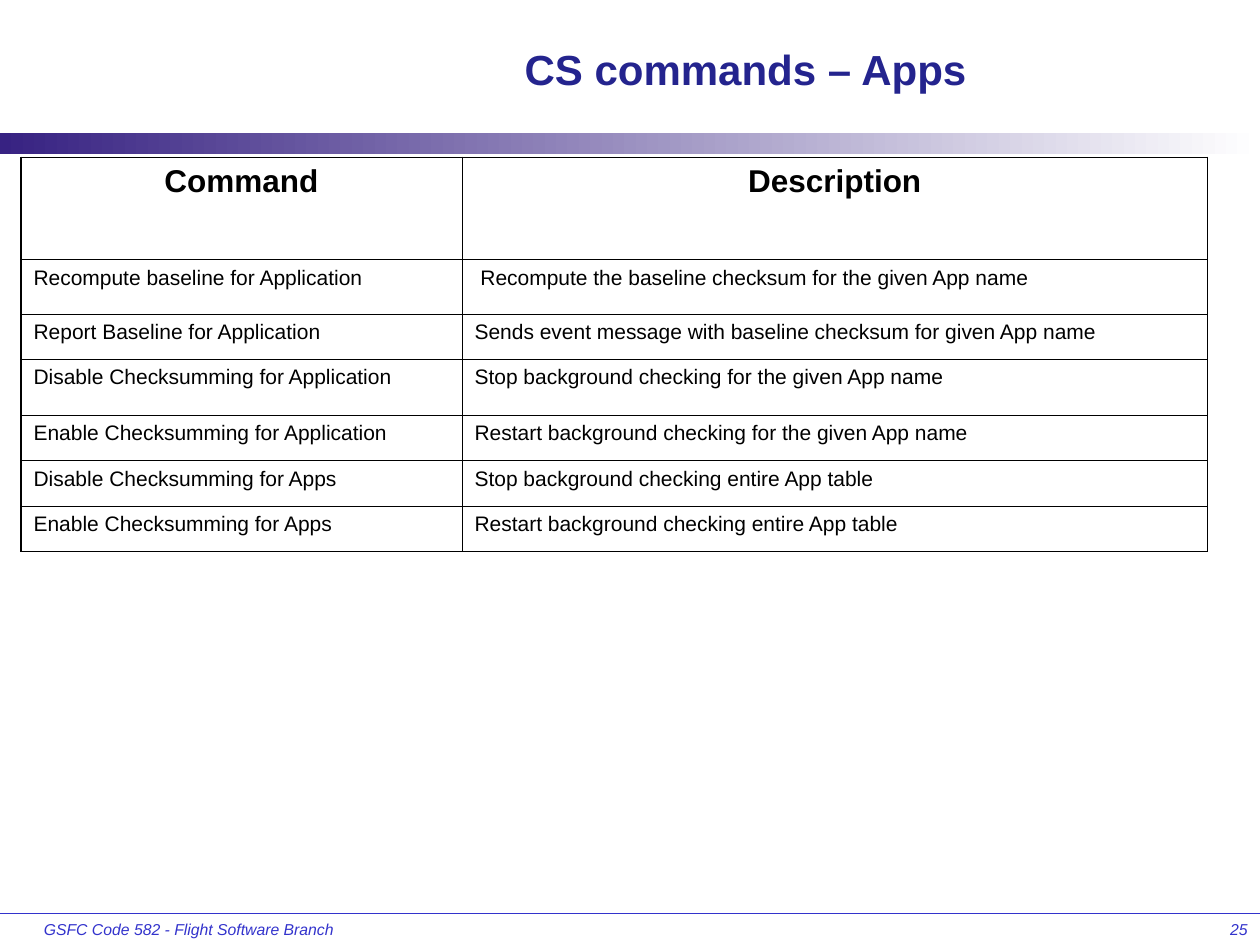
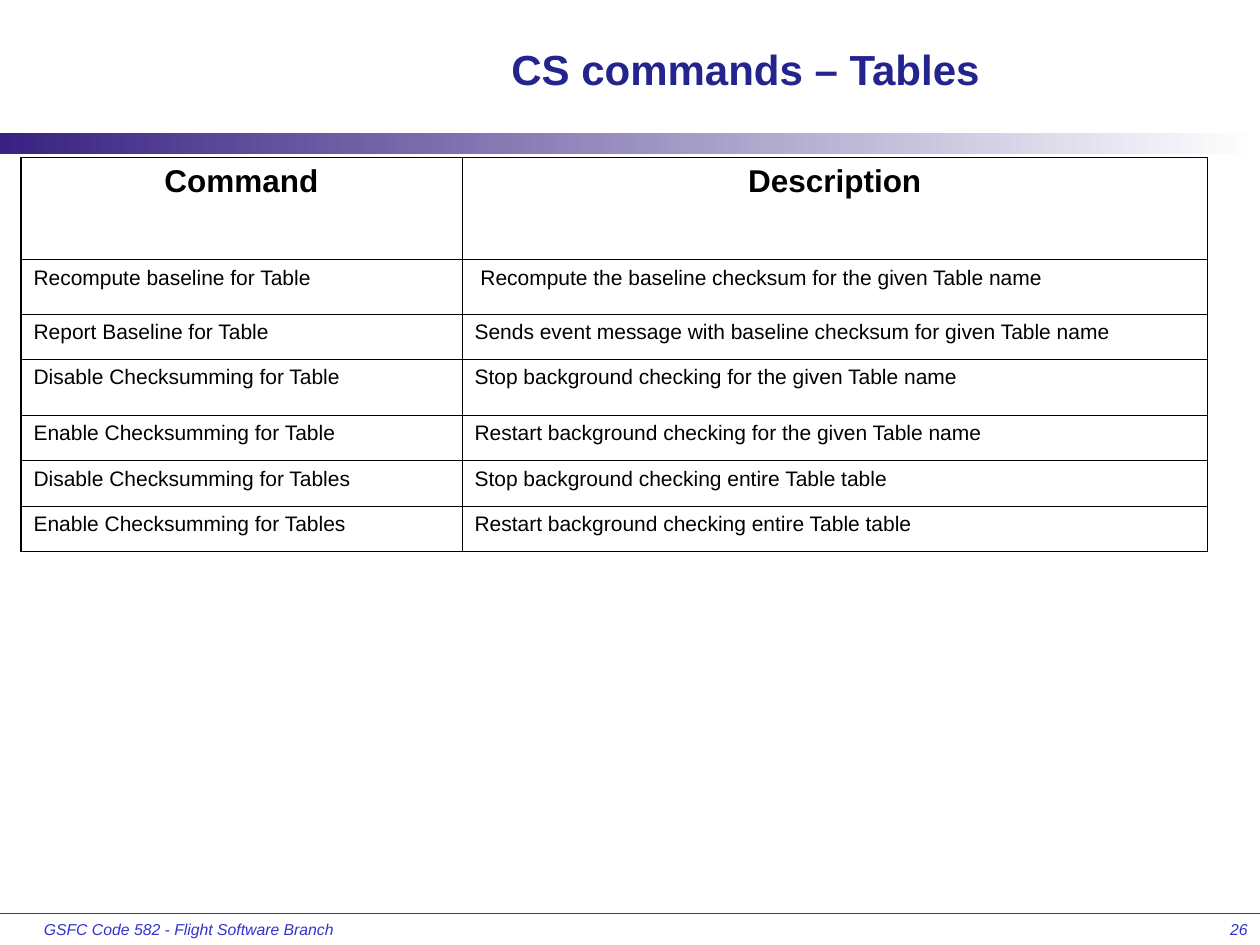
from dataclasses import dataclass

from lxml.etree import SubElement
from pptx import Presentation
from pptx.dml.color import RGBColor
from pptx.enum.shapes import MSO_CONNECTOR, MSO_SHAPE
from pptx.enum.text import MSO_ANCHOR, PP_ALIGN
from pptx.oxml.ns import qn
from pptx.slide import Slide
from pptx.table import _Cell
from pptx.text.text import TextFrame
from pptx.util import Inches, Length, Pt

WIDTH, HEIGHT = Inches(10), Inches(7.5)
COLUMNS, ROWS = 120, 90

FONT = "Arial"
TITLE_BLUE, FOOTER_BLUE = "24248E", "3333CC"
BAND_START, BAND_END = "372282", "FFFFFF"
BLACK = "000000"

FOOTER_ROW = 87
THICK, THIN = 1.08, 0.45
COMMAND_COLUMNS = (42, 71)
COMMAND_ROWS = (9.75, 5.15, 4.33, 5.33, 4.33, 4.33, 4.33)


@dataclass(frozen=True)
class Area:
    column: float
    row: float
    columns: float
    rows: float

    def place(self) -> tuple[Length, Length, Length, Length]:
        return across(self.column), down(self.row), across(self.columns), down(self.rows)


@dataclass(frozen=True)
class Style:
    size: float
    color: str
    bold: bool = False
    italic: bool = False
    align: PP_ALIGN = PP_ALIGN.LEFT


@dataclass(frozen=True)
class Label:
    area: Area
    style: Style
    anchor: MSO_ANCHOR = MSO_ANCHOR.TOP
    wrap: bool = True


@dataclass(frozen=True)
class Subject:
    number: int
    full: str
    short: str
    plural: str

    def commands(self) -> list[tuple[str, str]]:
        return [
            ("Command", "Description"),
            (f"Recompute baseline for {self.full}",
             f" Recompute the baseline checksum for the given {self.short} name"),
            (f"Report Baseline for {self.full}",
             f"Sends event message with baseline checksum for given {self.short} name"),
            (f"Disable Checksumming for {self.full}",
             f"Stop background checking for the given {self.short} name"),
            (f"Enable Checksumming for {self.full}",
             f"Restart background checking for the given {self.short} name"),
            (f"Disable Checksumming for {self.plural}",
             f"Stop background checking entire {self.short} table"),
            (f"Enable Checksumming for {self.plural}",
             f"Restart background checking entire {self.short} table"),
        ]


HEADING = Style(18, BLACK, bold=True, align=PP_ALIGN.CENTER)
BODY = Style(12, BLACK)

TITLE = Label(Area(25, 2, 92, 9.12),
              Style(24, TITLE_BLUE, bold=True, align=PP_ALIGN.CENTER), MSO_ANCHOR.MIDDLE)
BRANCH = Label(Area(3, FOOTER_ROW, 30, 3), Style(9, FOOTER_BLUE, italic=True), wrap=False)
PAGE = Label(Area(95, FOOTER_ROW, 25, 3),
             Style(9, FOOTER_BLUE, italic=True, align=PP_ALIGN.RIGHT))
BAND = Area(0, 12.7, COLUMNS, 2)
COMMANDS = Area(2, 15, sum(COMMAND_COLUMNS), sum(COMMAND_ROWS))

SUBJECTS = (
    Subject(25, "Application", "App", "Apps"),
    Subject(26, "Table", "Table", "Tables"),
)


def across(columns: float) -> Length:
    return Length(round(WIDTH * columns / COLUMNS))


def down(rows: float) -> Length:
    return Length(round(HEIGHT * rows / ROWS))


def rgb(color: str) -> RGBColor:
    return RGBColor.from_string(color)


def write(frame: TextFrame, text: str, style: Style) -> None:
    frame.text = text
    paragraph = frame.paragraphs[0]
    paragraph.alignment = style.align
    for run in paragraph.runs:
        run.font.name = FONT
        run.font.size = Pt(style.size)
        run.font.bold = style.bold
        run.font.italic = style.italic
        run.font.color.rgb = rgb(style.color)


def draw_label(slide: Slide, label: Label, text: str) -> None:
    frame = slide.shapes.add_textbox(*label.area.place()).text_frame
    frame.word_wrap = label.wrap
    frame.vertical_anchor = label.anchor
    write(frame, text, label.style)


def draw_band(slide: Slide) -> None:
    band = slide.shapes.add_shape(MSO_SHAPE.RECTANGLE, *BAND.place())
    band.shadow.inherit = False
    band.line.fill.background()
    band.fill.gradient()
    band.fill.gradient_angle = 0
    for stop, color, position in zip(band.fill.gradient_stops, (BAND_START, BAND_END), (0, 1)):
        stop.color.rgb = rgb(color)
        stop.position = position


def draw_footer_rule(slide: Slide) -> None:
    level = down(FOOTER_ROW)
    rule = slide.shapes.add_connector(MSO_CONNECTOR.STRAIGHT, 0, level, WIDTH, level)
    rule.line.color.rgb = rgb(FOOTER_BLUE)
    rule.line.width = Pt(0.75)
    SubElement(rule._element.spPr, qn("a:effectLst"))


def draw_borders(cell: _Cell, widths: dict[str, float]) -> None:
    properties = cell._tc.get_or_add_tcPr()
    for side, width in widths.items():
        border = SubElement(properties, qn(f"a:ln{side}"), w=str(Pt(width)))
        fill = SubElement(border, qn("a:solidFill"))
        SubElement(fill, qn("a:srgbClr"), val=BLACK)


def draw_commands(slide: Slide, commands: list[tuple[str, str]]) -> None:
    table = slide.shapes.add_table(
        len(COMMAND_ROWS), len(COMMAND_COLUMNS), *COMMANDS.place()).table
    table.first_row = table.horz_banding = False
    for column, width in zip(table.columns, COMMAND_COLUMNS):
        column.width = across(width)
    for row, height in zip(table.rows, COMMAND_ROWS):
        row.height = down(height)
    last = len(COMMAND_COLUMNS) - 1
    for r, command in enumerate(commands):
        for c, text in enumerate(command):
            cell = table.cell(r, c)
            draw_borders(cell, {
                "L": THICK if c == 0 else THIN,
                "R": THICK if c == last else THIN,
                "T": THICK if r == 0 else THIN,
                "B": THIN,
            })
            cell.fill.background()
            write(cell.text_frame, text, HEADING if r == 0 else BODY)


def draw_slide(slide: Slide, subject: Subject) -> None:
    draw_footer_rule(slide)
    draw_band(slide)
    draw_label(slide, BRANCH, "GSFC Code 582 - Flight Software Branch")
    draw_label(slide, PAGE, str(subject.number))
    draw_label(slide, TITLE, f"CS commands – {subject.plural}")
    draw_commands(slide, subject.commands())


def main() -> None:
    deck = Presentation()
    deck.slide_width, deck.slide_height = WIDTH, HEIGHT
    blank = deck.slide_layouts[6]
    for subject in SUBJECTS:
        draw_slide(deck.slides.add_slide(blank), subject)
    deck.save("out.pptx")


if __name__ == "__main__":
    main()
